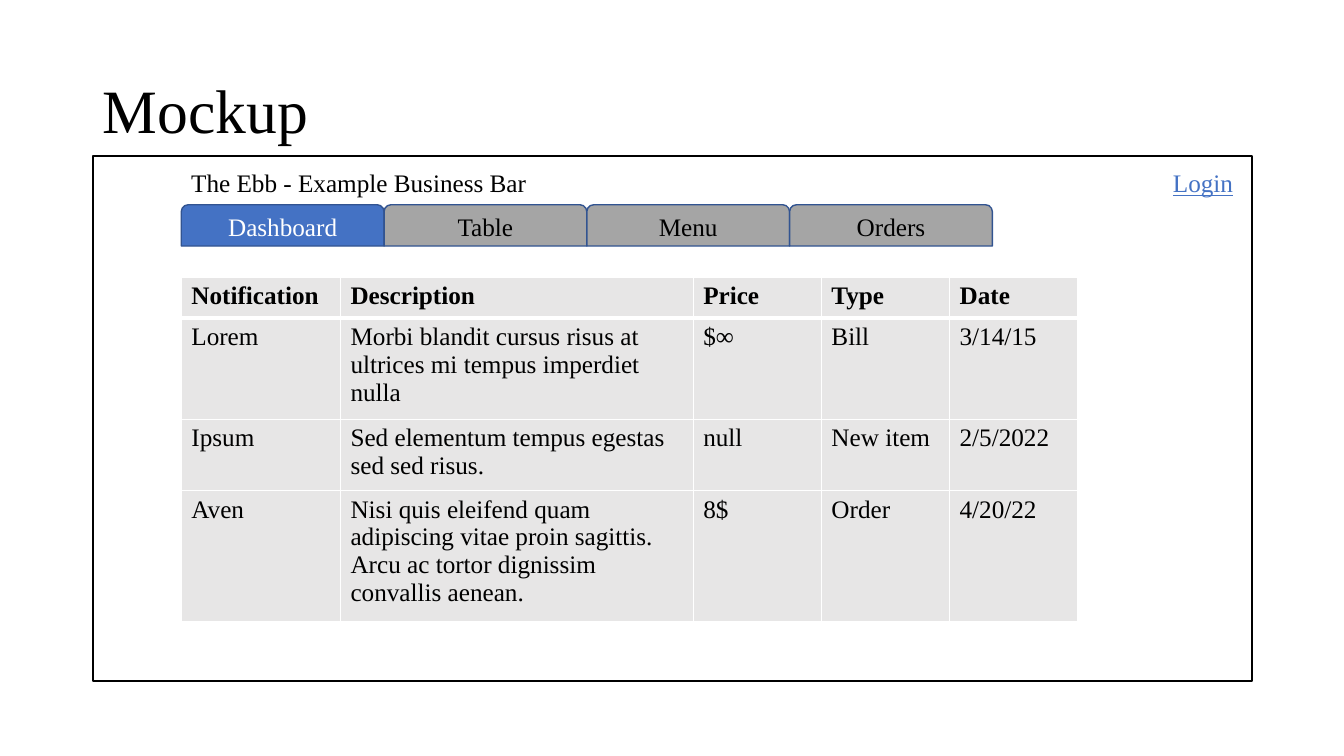
from lxml import etree
from pptx import Presentation
from pptx import util as u
from pptx.dml.color import RGBColor
from pptx.enum import shapes, text
from pptx.oxml import ns

BLACK = RGBColor(0x00, 0x00, 0x00)
WHITE = RGBColor(0xFF, 0xFF, 0xFF)
BLUE = RGBColor(0x44, 0x72, 0xC4)
NAVY = RGBColor(0x32, 0x54, 0x91)
GRAY = RGBColor(0xA5, 0xA5, 0xA5)
LIGHT = RGBColor(0xE7, 0xE6, 0xE6)

LEFT = 4.57
TAB_WIDTH = 5.11
TABS = ["Dashboard", "Table", "Menu", "Orders"]
COLUMNS = [4.01, 8.89, 3.23, 3.23, 3.23]
ROW_HEIGHTS = [1.03, 2.52, 1.8, 3.3]
NOTIFICATIONS = [
    ["Notification", "Description", "Price", "Type", "Date"],
    ["Lorem", "Morbi blandit cursus risus at ultrices mi tempus imperdiet nulla",
     "$∞", "Bill", "3/14/15"],
    ["Ipsum", "Sed elementum tempus egestas sed sed risus.",
     "null", "New item", "2/5/2022"],
    ["Aven", "Nisi quis eleifend quam adipiscing vitae proin sagittis. "
     "Arcu ac tortor dignissim convallis aenean.", "8$", "Order", "4/20/22"],
]


class Mockup:
    """Hold the text style and the current slide, and draw its elements."""

    font = "Times New Roman"
    size = 18

    def __init__(self, slide):
        self.s = slide

    def add_text(self, tf, words, color=BLACK, size=None, bold=False, underline=False):
        p = tf.paragraphs[0]
        r = p.add_run()
        r.text = words
        r.font.name = self.font
        r.font.size = u.Pt(size or self.size)
        r.font.bold = bold
        r.font.underline = underline
        r.font.color.rgb = color
        return p

    def title(self, words, left, top, width, height):
        sp = self.s.shapes.title
        sp.left, sp.top = u.Cm(left), u.Cm(top)
        sp.width, sp.height = u.Cm(width), u.Cm(height)
        sp.text_frame.vertical_anchor = text.MSO_ANCHOR.MIDDLE
        p = self.add_text(sp.text_frame, words, size=44)
        p.alignment = text.PP_ALIGN.LEFT
        p.line_spacing = 0.9

    def shape(self, kind, left, top, width, height, fill, line, weight):
        sp = self.s.shapes.add_shape(
            kind, u.Cm(left), u.Cm(top), u.Cm(width), u.Cm(height))
        sp.shadow.inherit = False
        sp.fill.solid()
        sp.fill.fore_color.rgb = fill
        sp.line.color.rgb = line
        sp.line.width = u.Pt(weight)
        return sp

    def frame(self, left, top, width, height):
        sp = self.shape(shapes.MSO_SHAPE.RECTANGLE, left, top, width, height,
                        WHITE, BLACK, 1.5)
        self.s.shapes.title.element.addprevious(sp.element)

    def tab(self, words, left, top, width, height, active):
        sp = self.shape(shapes.MSO_SHAPE.ROUND_2_SAME_RECTANGLE, left, top, width,
                        height, BLUE if active else GRAY, NAVY, 1)
        sp.text_frame.vertical_anchor = text.MSO_ANCHOR.MIDDLE
        p = self.add_text(sp.text_frame, words, WHITE if active else BLACK)
        p.alignment = text.PP_ALIGN.CENTER

    def label(self, words, left, top, width, height, **style):
        sp = self.s.shapes.add_textbox(
            u.Cm(left), u.Cm(top), u.Cm(width), u.Cm(height))
        sp.text_frame.word_wrap = True
        self.add_text(sp.text_frame, words, **style)

    def borders(self, cell, weights):
        tc_pr = cell._tc.get_or_add_tcPr()
        for i, (side, weight) in enumerate(zip("LRTB", weights)):
            ln = etree.Element(ns.qn(f"a:ln{side}"), w=str(u.Pt(weight)))
            fill = etree.SubElement(ln, ns.qn("a:solidFill"))
            etree.SubElement(fill, ns.qn("a:srgbClr"), val=str(WHITE))
            tc_pr.insert(i, ln)

    def table(self, rows, left, top, widths, heights):
        table = self.s.shapes.add_table(
            len(rows), len(widths), u.Cm(left), u.Cm(top),
            u.Cm(sum(widths)), u.Cm(sum(heights))).table
        table.horz_banding = False
        for column, width in zip(table.columns, widths):
            column.width = u.Cm(width)
        for i, (row, height) in enumerate(zip(rows, heights)):
            table.rows[i].height = u.Cm(height)
            for j, words in enumerate(row):
                cell = table.cell(i, j)
                cell.fill.solid()
                cell.fill.fore_color.rgb = LIGHT
                self.add_text(cell.text_frame, words, bold=i == 0)
                self.borders(cell, (1, 1, 3 if i == 1 else 1, 3 if i == 0 else 1))


def main():
    """Build the slide and save it."""
    prs = Presentation()
    prs.slide_width, prs.slide_height = u.Cm(33.87), u.Cm(19.05)
    page = Mockup(prs.slides.add_slide(prs.slide_layouts[5]))
    page.frame(2.34, 3.94, 29.21, 13.23)
    page.title("Mockup", 2.34, 1.02, 29.21, 3.68)
    page.label("Login", 29.31, 4.09, 4.5, 1.02, color=BLUE, underline=True)
    page.label("The Ebb - Example Business Bar", LEFT, 4.09, 15.34, 1.02)
    for i, name in enumerate(TABS):
        page.tab(name, LEFT + i * TAB_WIDTH, 5.16, TAB_WIDTH, 1.04, i == 0)
    page.table(NOTIFICATIONS, LEFT, 6.99, COLUMNS, ROW_HEIGHTS)
    prs.save("out.pptx")


if __name__ == "__main__":
    main()
